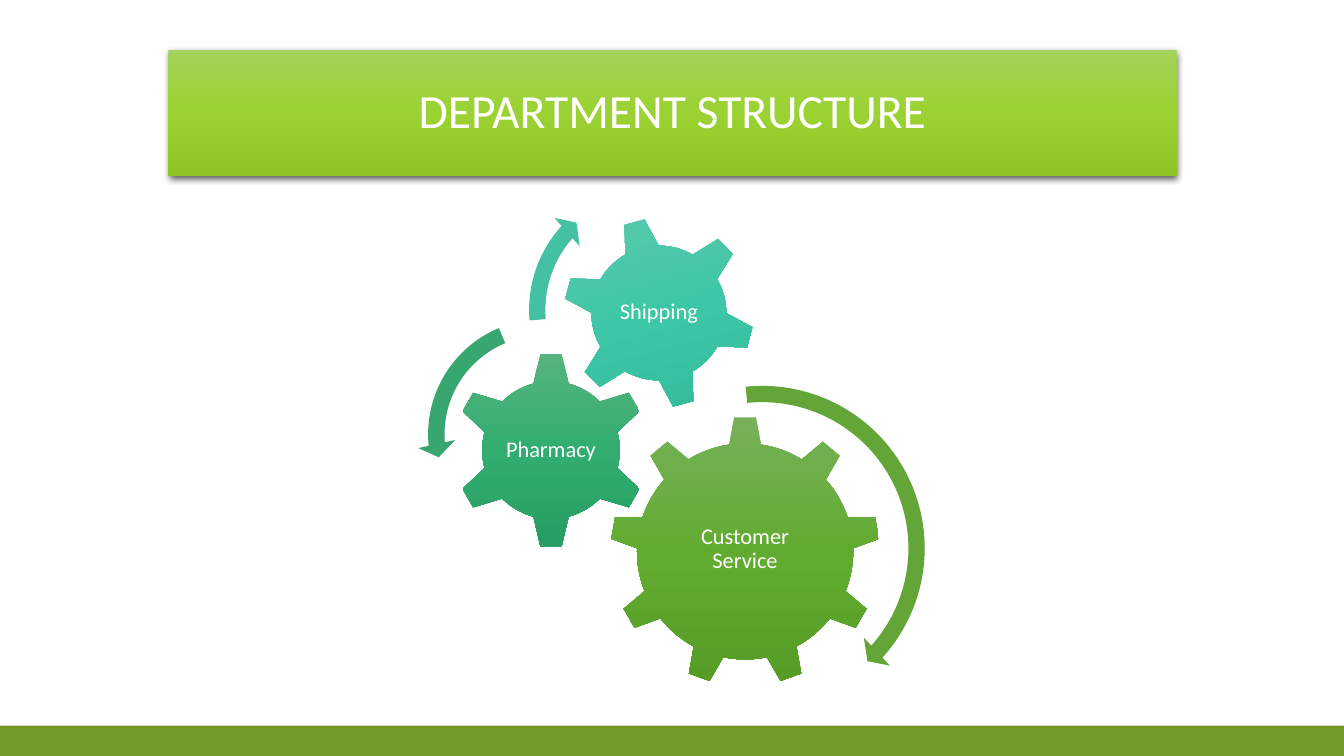
from lxml import etree
from pptx import Presentation
from pptx.dml.color import RGBColor
from pptx.enum.shapes import MSO_SHAPE
from pptx.enum.text import MSO_ANCHOR, PP_ALIGN
from pptx.oxml import parse_xml
from pptx.oxml.ns import nsdecls, qn
from pptx.util import Pt

PX = 9144  # EMU per px, 100 px to the inch
RECT = MSO_SHAPE.RECTANGLE
GEAR_6, GEAR_9 = MSO_SHAPE.GEAR_6, MSO_SHAPE.GEAR_9
CLOCKWISE, COUNTER = MSO_SHAPE.CIRCULAR_ARROW, MSO_SHAPE.LEFT_CIRCULAR_ARROW
MIDDLE, CENTER = MSO_ANCHOR.MIDDLE, PP_ALIGN.CENTER
COLORS = {
    "footer": "739A28",
    "text": "FFFFFF",
    "title": ("A4D25A", "9BD231", "8DC323"),
    "service": ("76B158", "62AB31", "569C27"),
    "pharmacy": ("58B380", "31AD6F", "279E63"),
    "shipping": ("61C8AD", "3EC7A6", "30B897"),
    "service_arrow": "63A537",
    "pharmacy_arrow": "37A76F",
    "shipping_arrow": "44C1A3",
}

prs = Presentation()
prs.slide_width, prs.slide_height = 1333 * PX, 750 * PX
slide = prs.slides.add_slide(prs.slide_layouts[6])


def add_filled(kind, box, color):
    """Add a borderless shape; three colours make a top-to-bottom gradient."""
    shape = slide.shapes.add_shape(kind, *(n * PX for n in box))
    shape.shadow.inherit = False
    shape.line.fill.background()
    if isinstance(color, str):
        shape.fill.solid()
        shape.fill.fore_color.rgb = RGBColor.from_string(color)
    else:
        stops = "".join(
            f'<a:gs pos="{i * 50000}"><a:srgbClr val="{stop}"/></a:gs>'
            for i, stop in enumerate(color))
        shape.element.spPr.find(qn("a:prstGeom")).addnext(parse_xml(
            f'<a:gradFill rotWithShape="1" {nsdecls("a")}><a:gsLst>{stops}</a:gsLst>'
            '<a:lin ang="5400000" scaled="0"/></a:gradFill>'))
    return shape


def write_centered(shape, text, size, inset):
    frame = shape.text_frame
    frame.word_wrap = True
    frame.vertical_anchor = MIDDLE
    frame.margin_left = frame.margin_right = inset * PX
    frame.margin_top = frame.margin_bottom = inset * PX
    paragraph = frame.paragraphs[0]
    paragraph.text = text
    paragraph.alignment = CENTER
    paragraph.line_spacing = 0.9
    paragraph.font.name = "Calibri"
    paragraph.font.size = Pt(size)
    paragraph.font.color.rgb = RGBColor.from_string(COLORS["text"])


add_filled(RECT, (0, 720, 1333, 30), COLORS["footer"])

title = add_filled(RECT, (167, 50, 1000, 125), COLORS["title"])
write_centered(title, "DEPARTMENT STRUCTURE", 34, 5)
title_shadow = etree.SubElement(
    title.element.spPr.find(qn("a:effectLst")), qn("a:outerShdw"),
    blurRad=str(Pt(4.5)), dist=str(Pt(1.5)), dir="5400000", algn="ctr", rotWithShape="0")
shadow_color = etree.SubElement(title_shadow, qn("a:srgbClr"), val="000000")
etree.SubElement(shadow_color, qn("a:alpha"), val="63000")

# department, gear kind, gear box, rotation, label box, colours
departments = [
    ("Customer Service", GEAR_9, (605, 413, 268, 268), 0, (659, 476, 160, 138), "service"),
    ("Pharmacy", GEAR_6, (449, 349, 195, 195), 0, (498, 399, 97, 96), "pharmacy"),
    ("Shipping", GEAR_6, (558, 215, 191, 191), 345, (600, 256, 107, 107), "shipping"),
]
for department, kind, gear_box, rotation, label_box, color in departments:
    gear = add_filled(kind, gear_box, COLORS[color])
    gear.rotation = rotation
    label = slide.shapes.add_textbox(*(n * PX for n in label_box))
    write_centered(label, department, 16, 2)

# arrow kind, left, top, diameter, adjustments in thousandths, colour
arrows = [
    (CLOCKWISE, 584, 372, 344, (47, 2990, 25222, 158482, 55), "service_arrow"),
    (COUNTER, 414, 306, 250, (65, 4300, 104891, 148378, 75), "pharmacy_arrow"),
    (CLOCKWISE, 514, 173, 269, (60, 3941, 133138, 105082, 70), "shipping_arrow"),
]
for kind, left, top, diameter, adjustments, color in arrows:
    arrow = add_filled(kind, (left, top, diameter, diameter), COLORS[color])
    for i, thousandths in enumerate(adjustments):
        arrow.adjustments[i] = thousandths / 1000

prs.save("out.pptx")
